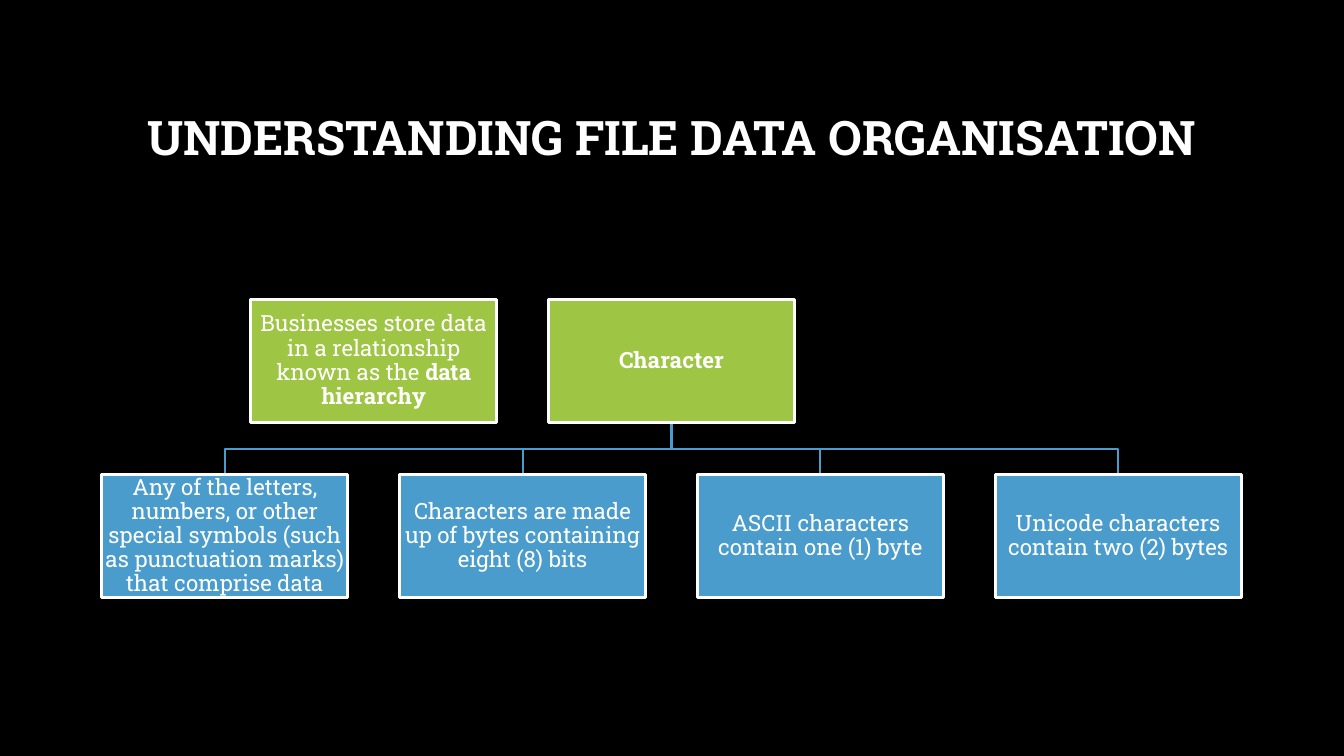
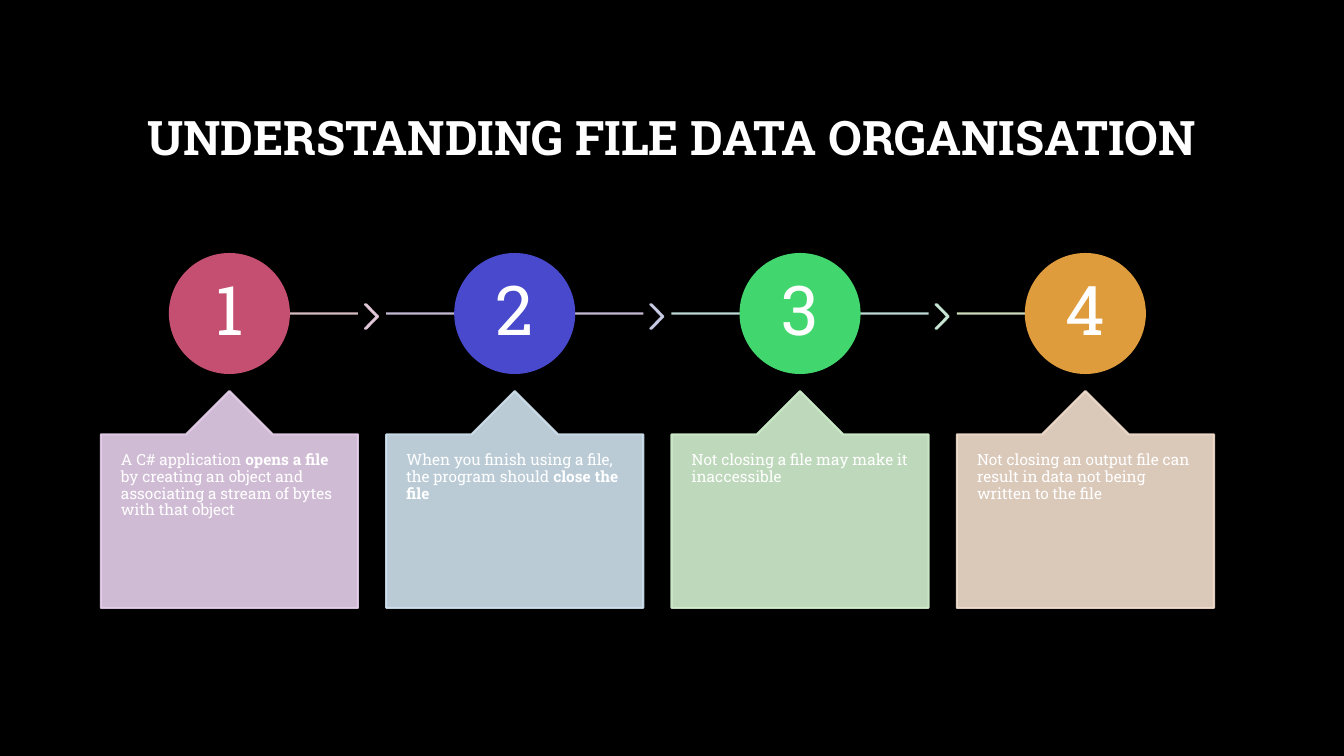
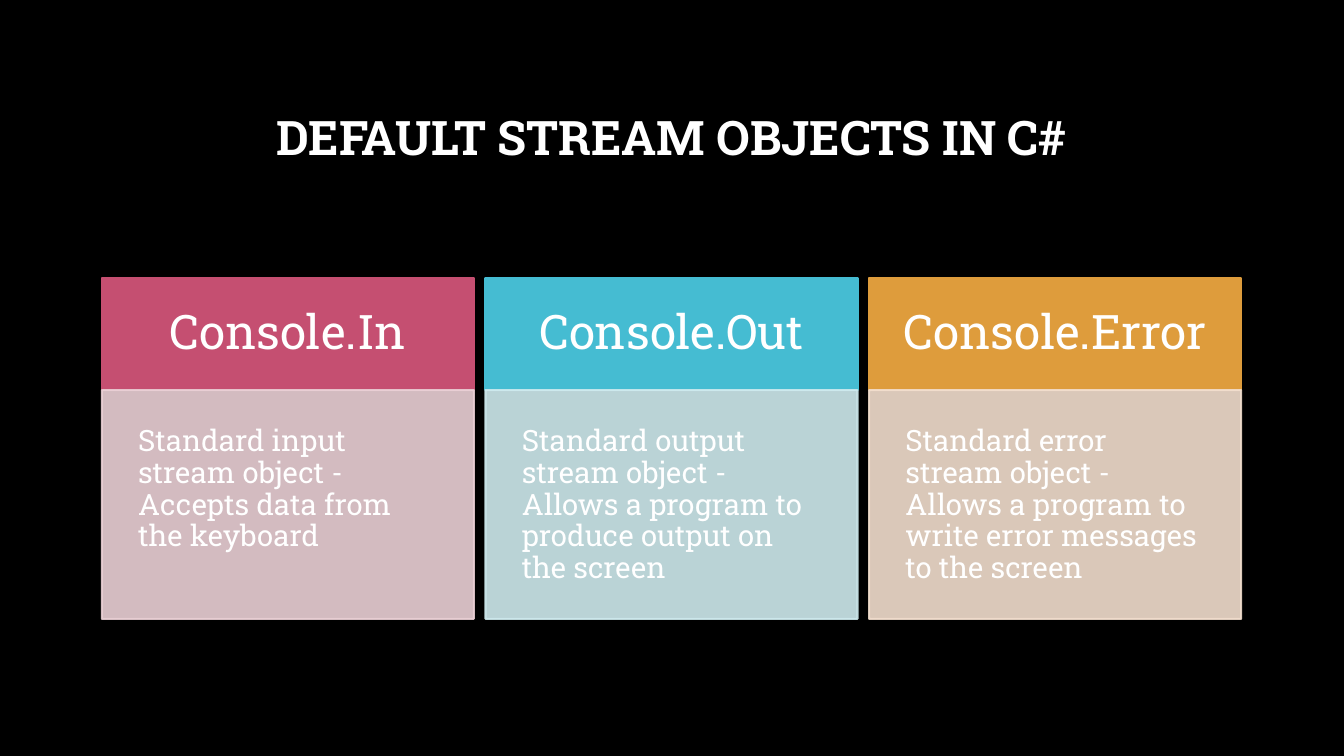
from lxml.etree import SubElement
from pptx import Presentation
from pptx.dml.color import RGBColor
from pptx.enum.shapes import MSO_CONNECTOR as LINE, MSO_SHAPE as SHAPE
from pptx.enum.text import MSO_ANCHOR as ANCHOR, PP_ALIGN as ALIGN
from pptx.oxml.ns import qn
from pptx.util import Inches, Pt

FONT = "Roboto Slab"
BLACK, WHITE = "000000", "FFFFFF"
GREEN, BLUE = "9EC544", "4A9CCC"
ROSE, ROSE_TINT = "C54F71", "EAD0D5"
ORANGE, ORANGE_TINT = "DE9C3C", "F2DECE"
LINE_SPACING = 0.9
LINE_WIDTH = 1.5
TINT_ALPHA = 90
FILE_TITLE = "UNDERSTANDING FILE DATA ORGANISATION"

HIERARCHY = [[("Businesses store data in a relationship known as the ", False),
              ("data hierarchy", True)],
             [("Character", True)]]
CHARACTER_FACTS = [
    "Any of the letters, numbers, or other special symbols "
    "(such as punctuation marks) that comprise data",
    "Characters are made up of bytes containing eight (8) bits",
    "ASCII characters contain one (1) byte",
    "Unicode characters contain two (2) bytes",
]
STEPS = [
    (ROSE, ROSE_TINT, "EBD0E2", "E7D0EC",
     [("A C# application ", False), ("opens a file", True),
      (" by creating an object and associating a stream of bytes with that object", False)]),
    ("4949CD", "DACFEC", "CFD3ED", "CFE2EE",
     [("When you finish using a file, the program should ", False),
      ("close the file", True)]),
    ("42D66E", "CFEFEB", "CFF0DC", "D2F0CF",
     "Not closing a file may make it inaccessible"),
    (ORANGE, "E2F1CE", None, ORANGE_TINT,
     "Not closing an output file can result in data not being written to the file"),
]
STREAMS = [
    ("Console.In", ROSE, ROSE_TINT,
     "Standard input stream object - Accepts data from the keyboard"),
    ("Console.Out", "45BCD2", "CFEAEE",
     "Standard output stream object - Allows a program to produce output on the screen"),
    ("Console.Error", ORANGE, ORANGE_TINT,
     "Standard error stream object - Allows a program to write error messages to the screen"),
]


def paint(color_format, color):
    color_format.rgb = RGBColor.from_string(color)


def set_alpha(sp, percent):
    for color in sp._element.spPr.iter(qn("a:srgbClr")):
        SubElement(color, qn("a:alpha"), val=str(percent * 1000))


def columns(count, width, left=1.01, span=11.3):
    pitch = (span - width) / (count - 1)
    return [left + i * pitch for i in range(count)]


def put_text(sp, text, size, bold=False, align=ALIGN.CENTER, anchor=ANCHOR.MIDDLE,
             inset=(0.1, 0.05)):
    tf = sp.text_frame
    tf.word_wrap = True
    tf.vertical_anchor = anchor
    tf.margin_left = tf.margin_right = Inches(inset[0])
    tf.margin_top = tf.margin_bottom = Inches(inset[1])
    p = tf.paragraphs[0]
    p.alignment = align
    p.line_spacing = LINE_SPACING
    for words, strong in [(text, bold)] if isinstance(text, str) else text:
        r = p.add_run()
        r.text = words
        r.font.name = FONT
        r.font.size = Pt(size)
        r.font.bold = strong
        paint(r.font.color, WHITE)


def add_block(s, kind, x, y, w, h, fill, border=None, width=LINE_WIDTH, alpha=None,
              adjust=()):
    sp = s.shapes.add_shape(kind, Inches(x), Inches(y), Inches(w), Inches(h))
    sp.shadow.inherit = False
    sp.fill.solid()
    paint(sp.fill.fore_color, fill)
    paint(sp.line.color, border or fill)
    sp.line.width = Pt(width)
    for i, value in enumerate(adjust):
        sp.adjustments[i] = value
    if alpha:
        set_alpha(sp, alpha)
    return sp


def add_line(s, x1, y1, x2, y2, color, alpha=None):
    line = s.shapes.add_connector(LINE.STRAIGHT, Inches(x1), Inches(y1),
                                  Inches(x2), Inches(y2))
    paint(line.line.color, color)
    line.line.width = Pt(LINE_WIDTH)
    SubElement(line._element.spPr, qn("a:effectLst"))
    if alpha:
        set_alpha(line, alpha)


def add_branch(s, x1, y1, x2, y2, color):
    middle = (y1 + y2) / 2
    pen = s.shapes.build_freeform(Inches(x1), Inches(y1))
    pen.add_line_segments([(Inches(x), Inches(y)) for x, y in
                           [(x1, middle), (x2, middle), (x2, y2)]], close=False)
    sp = pen.convert_to_shape()
    sp.shadow.inherit = False
    sp.fill.background()
    paint(sp.line.color, color)
    sp.line.width = Pt(LINE_WIDTH)


def add_titled_slide(prs, title):
    s = prs.slides.add_slide(prs.slide_layouts[6])
    box = s.shapes.add_textbox(Inches(1), Inches(0.66), Inches(11.32), Inches(1.45))
    put_text(box, title, 34, bold=True)
    return s


def hierarchy_slide(prs):
    s = add_titled_slide(prs, FILE_TITLE)
    w, h, parent_y, child_y = 2.44, 1.22, 2.97, 4.71
    lefts = columns(4, w)
    half_pitch = (lefts[1] - lefts[0]) / 2

    def add_box(x, y, fill, text):
        sp = add_block(s, SHAPE.RECTANGLE, x, y, w, h, fill, border=WHITE, width=2)
        put_text(sp, text, 16, inset=(0.01, 0.01))

    for x in reversed(lefts):
        add_branch(s, lefts[1] + half_pitch + w / 2, parent_y + h, x + w / 2, child_y, BLUE)
    for x, text in zip(lefts, HIERARCHY):
        add_box(x + half_pitch, parent_y, GREEN, text)
    for x, text in zip(lefts, CHARACTER_FACTS):
        add_box(x, child_y, BLUE, text)


def steps_slide(prs):
    s = add_titled_slide(prs, FILE_TITLE)
    w, circle, line_y = 2.55, 1.18, 3.11
    lefts = columns(len(STEPS), w, left=1, span=11.04)
    last = len(STEPS) - 1
    for i, (x, step) in enumerate(zip(lefts, STEPS)):
        fill, line_tint, chevron_tint, card_tint, text = step
        center = x + w / 2
        add_line(s, x if i else center, line_y, x + w if i < last else center, line_y,
                 line_tint, TINT_ALPHA)
        if chevron_tint:
            add_block(s, SHAPE.CHEVRON, x + w + 0.07, 3.02, 0.13, 0.24, chevron_tint,
                      alpha=TINT_ALPHA, adjust=[0.9])
        number = add_block(s, SHAPE.OVAL, center - circle / 2, line_y - circle / 2,
                           circle, circle, fill)
        put_text(number, str(i + 1), 49, inset=(0.05, 0.05))
        card = add_block(s, SHAPE.UP_ARROW_CALLOUT, x, 3.88, w, 2.15, card_tint,
                         alpha=TINT_ALPHA, adjust=[0.4, 0.2, 0.2, 0.8])
        put_text(card, text, 11, align=ALIGN.LEFT, anchor=ANCHOR.TOP, inset=(0.2, 0.18))


def streams_slide(prs):
    s = add_titled_slide(prs, "DEFAULT STREAM OBJECTS IN C#")
    w, top, head_h, body_h = 3.69, 2.76, 1.11, 2.27
    for x, (name, fill, tint, text) in zip(columns(len(STREAMS), w), STREAMS):
        head = add_block(s, SHAPE.RECTANGLE, x, top, w, head_h, fill)
        put_text(head, name, 34, inset=(0.29, 0.29))
        body = add_block(s, SHAPE.RECTANGLE, x, top + head_h, w, body_h, tint,
                         alpha=TINT_ALPHA)
        put_text(body, text, 21, align=ALIGN.LEFT, anchor=ANCHOR.TOP, inset=(0.36, 0.36))


def main():
    prs = Presentation()
    prs.slide_width, prs.slide_height = Inches(13.33), Inches(7.5)
    background = prs.slide_master.background.fill
    background.solid()
    paint(background.fore_color, BLACK)
    hierarchy_slide(prs)
    steps_slide(prs)
    streams_slide(prs)
    prs.save("out.pptx")


if __name__ == "__main__":
    main()
